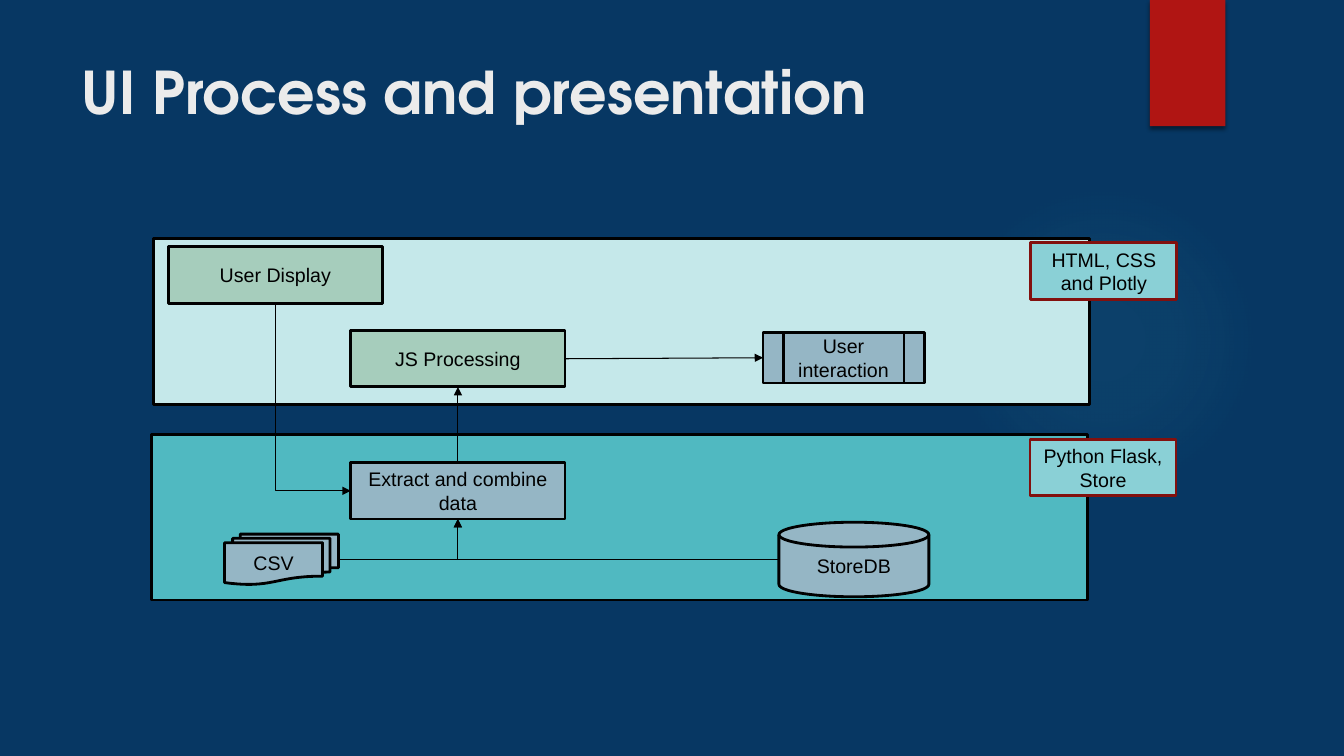
from lxml import etree
from pptx import Presentation
from pptx.dml.color import RGBColor
from pptx.enum.shapes import MSO_CONNECTOR, MSO_SHAPE
from pptx.enum.text import MSO_ANCHOR, MSO_AUTO_SIZE, PP_ALIGN
from pptx.oxml import parse_xml
from pptx.oxml.ns import nsdecls, qn
from pptx.util import Cm, Pt

RECT, OVAL = MSO_SHAPE.RECTANGLE, MSO_SHAPE.OVAL
DISK = MSO_SHAPE.FLOWCHART_MAGNETIC_DISK
DOCUMENTS = MSO_SHAPE.FLOWCHART_MULTIDOCUMENT
SUBPROCESS = MSO_SHAPE.FLOWCHART_PREDEFINED_PROCESS
STRAIGHT, ELBOW = MSO_CONNECTOR.STRAIGHT, MSO_CONNECTOR.ELBOW
TOP, MIDDLE = MSO_ANCHOR.TOP, MSO_ANCHOR.MIDDLE
LEFT, CENTER = PP_ALIGN.LEFT, PP_ALIGN.CENTER
NO_AUTOFIT = MSO_AUTO_SIZE.NONE
TOP_SITE, LEFT_SITE, BOTTOM_SITE, RIGHT_SITE = range(4)

BLACK, NAVY, RED, MAROON = "000000", "073763", "B01513", "82100E"
PALE, TEAL, AQUA = "C5E8EA", "50B9C1", "8AD0D6"
GREEN, STEEL, GLOW, OFF_WHITE = "A6CDBC", "95B6C5", "4CB9C3", "EBEBEB"


def rgb(value):
    return RGBColor.from_string(value)


def site(shape, index):
    x, y = {TOP_SITE: (0.5, 0), LEFT_SITE: (0, 0.5),
            BOTTOM_SITE: (0.5, 1), RIGHT_SITE: (1, 0.5)}[index]
    return (round(shape.left + x * shape.width),
            round(shape.top + y * shape.height))


class FlowSlide:
    body_font, body_size = "Arial", 14
    title_font, title_size = "TeX Gyre Adventor", 42
    outline, arrow_width = 2, 0.75

    def __init__(self, slide, background):
        self.slide = slide
        slide.background.fill.solid()
        slide.background.fill.fore_color.rgb = rgb(background)

    def set_text(self, frame, text, font, size, color, align, anchor, bold=False):
        frame.word_wrap = True
        frame.auto_size = NO_AUTOFIT
        frame.vertical_anchor = anchor
        paragraph = frame.paragraphs[0]
        paragraph.alignment = align
        run = paragraph.add_run()
        run.text = text
        run.font.name, run.font.size, run.font.bold = font, Pt(size), bold
        run.font.color.rgb = rgb(color)

    def title(self, text, *place):
        heading = self.slide.shapes.title
        heading.left, heading.top, heading.width, heading.height = map(Cm, place)
        self.set_text(heading.text_frame, text, self.title_font,
                      self.title_size, OFF_WHITE, LEFT, TOP, True)

    def shape(self, place, fill=None, text="", kind=RECT, line=BLACK):
        shape = self.slide.shapes.add_shape(kind, *map(Cm, place))
        shape.shadow.inherit = False
        if fill:
            shape.fill.solid()
            shape.fill.fore_color.rgb = rgb(fill)
        else:
            shape.fill.background()
        if line:
            shape.line.color.rgb = rgb(line)
            shape.line.width = Pt(self.outline)
        else:
            shape.line.fill.background()
        if text:
            self.set_text(shape.text_frame, text, self.body_font,
                          self.body_size, BLACK, CENTER, MIDDLE)
        return shape

    def glow(self, place, color, stops):
        properties = self.shape(place, kind=OVAL, line=None).element.spPr
        colors = "".join(
            f'<a:gs pos="{position * 1000}"><a:srgbClr val="{color}">'
            f'<a:alpha val="{alpha * 1000}"/></a:srgbClr></a:gs>'
            for position, alpha in stops)
        properties.replace(properties.find(qn("a:noFill")), parse_xml(
            f'<a:gradFill {nsdecls("a")}><a:gsLst>{colors}</a:gsLst>'
            '<a:path path="circle"><a:fillToRect l="50000" t="50000" '
            'r="50000" b="50000"/></a:path></a:gradFill>'))

    def ribbon(self, place, color):
        properties = self.shape(place, color, line=None).element.spPr
        properties.find(qn("a:effectLst")).append(parse_xml(
            f'<a:outerShdw {nsdecls("a")} blurRad="{Pt(3)}" dist="{Pt(2)}" '
            f'dir="5400000"><a:srgbClr val="{BLACK}"><a:alpha val="45000"/>'
            '</a:srgbClr></a:outerShdw>'))

    def style_arrow(self, arrow):
        arrow.line.color.rgb = rgb(BLACK)
        arrow.line.width = Pt(self.arrow_width)
        properties = arrow.element.spPr
        etree.SubElement(properties.find(qn("a:ln")), qn("a:tailEnd"),
                         type="triangle")
        etree.SubElement(properties, qn("a:effectLst"))

    def arrow(self, source, source_site, target, target_site):
        arrow = self.slide.shapes.add_connector(
            STRAIGHT, *site(source, source_site), *site(target, target_site))
        arrow.begin_connect(source, source_site)
        arrow.end_connect(target, target_site)
        self.style_arrow(arrow)

    def bent_arrow(self, source, source_site, target, target_site):
        start, end = site(source, source_site), site(target, target_site)
        arrow = self.slide.shapes.add_connector(ELBOW, *start, *end)
        properties = arrow.element.spPr
        properties.find(qn("a:prstGeom")).set("prst", "bentConnector2")
        if source_site == BOTTOM_SITE:
            width, height = arrow.height, arrow.width
            arrow.left += (height - width) // 2
            arrow.top += (width - height) // 2
            arrow.width, arrow.height = width, height
            frame = properties.find(qn("a:xfrm"))
            frame.set("rot", "16200000")
            frame.set("flipH", "1")
        self.style_arrow(arrow)


deck = Presentation()
deck.slide_width, deck.slide_height = Cm(33.87), Cm(19.05)
flow = FlowSlide(deck.slides.add_slide(deck.slide_layouts[5]), NAVY)

flow.glow((23.9, 4.65, 7.82, 7.82), GLOW, [(0, 7), (36, 6), (69, 0), (100, 0)])
flow.ribbon((28.98, 0, 1.9, 3.18), RED)
flow.title("UI Process and presentation", 1.8, 1.27, 26.14, 2.64)

band_size, step_size, tag_size = (23.6, 4.17), (5.4, 1.42), (3.68, 1.42)
flow.shape((3.86, 6.02, *band_size), PALE)
flow.shape((3.81, 10.95, *band_size), TEAL)
flow.shape((25.98, 6.12, *tag_size), AQUA, "HTML, CSS and Plotly", line=MAROON)
flow.shape((25.96, 11.07, *tag_size), AQUA, "Python Flask, Store", line=MAROON)

display = flow.shape((4.24, 6.22, *step_size), GREEN, "User Display")
processing = flow.shape((8.84, 8.33, *step_size), GREEN, "JS Processing")
extraction = flow.shape((8.84, 11.66, *step_size), STEEL,
                        "Extract and combine data")
database = flow.shape((19.63, 13.16, 3.78, 1.88), STEEL, "StoreDB", DISK)
csv_files = flow.shape((5.66, 13.46, 2.87, 1.27), STEEL, "CSV", DOCUMENTS)
interaction = flow.shape((19.23, 8.38, 4.06, 1.27), STEEL,
                         "User interaction", SUBPROCESS)

flow.bent_arrow(display, BOTTOM_SITE, extraction, LEFT_SITE)
flow.bent_arrow(database, LEFT_SITE, extraction, BOTTOM_SITE)
flow.bent_arrow(csv_files, RIGHT_SITE, extraction, BOTTOM_SITE)
flow.arrow(extraction, TOP_SITE, processing, BOTTOM_SITE)
flow.arrow(processing, RIGHT_SITE, interaction, LEFT_SITE)

deck.save("out.pptx")
